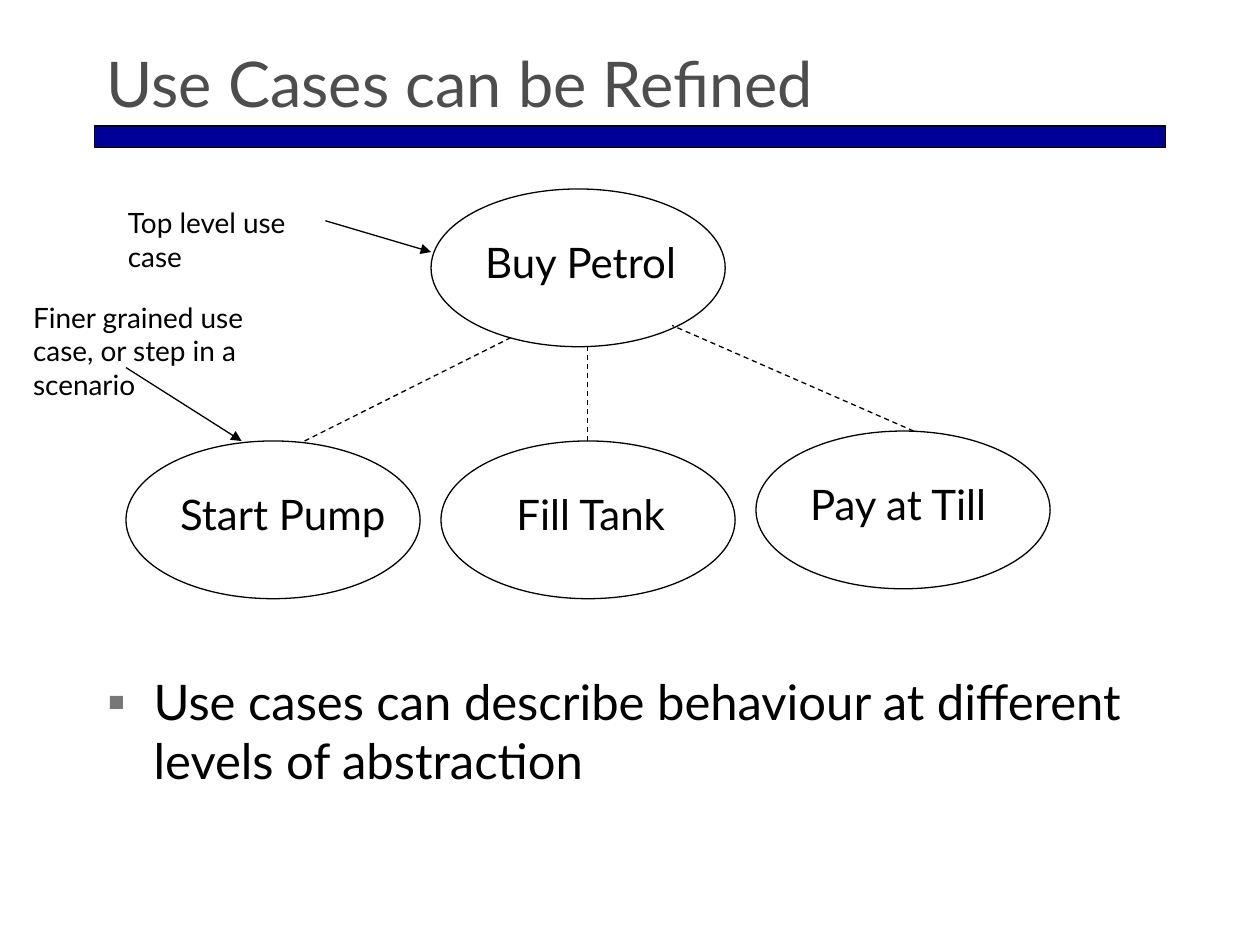
from dataclasses import dataclass

from lxml.etree import SubElement
from pptx import Presentation
from pptx.dml.color import RGBColor
from pptx.enum.dml import MSO_LINE
from pptx.enum.shapes import MSO_CONNECTOR, MSO_SHAPE
from pptx.enum.text import MSO_ANCHOR
from pptx.oxml.ns import qn
from pptx.util import Cm, Pt


@dataclass(frozen=True)
class Theme:
    """Colours, font and type sizes of the slide."""
    font: str = "Lato"
    ink: RGBColor = RGBColor(0, 0, 0)
    heading: RGBColor = RGBColor(0x4D, 0x4D, 0x4D)
    rule: RGBColor = RGBColor(0, 0, 0x99)
    bullet: str = "777777"
    title_size: int = 36
    body_size: int = 28
    case_size: int = 24
    note_size: int = 16
    line_width: float = 0.74


theme = Theme()
presentation = Presentation()
presentation.slide_width, presentation.slide_height = Cm(25.4), Cm(19.05)
slide = presentation.slides.add_slide(presentation.slide_layouts[6])


def add_text(words, left, top, width, height, size, color=theme.ink):
    """Add a wrapped text box and return its text frame."""
    frame = slide.shapes.add_textbox(Cm(left), Cm(top), Cm(width), Cm(height)).text_frame
    frame.word_wrap = True
    frame.text = words
    font = frame.paragraphs[0].runs[0].font
    font.name, font.size, font.color.rgb = theme.font, Pt(size), color
    return frame


def add_outlined(kind, left, top, width, height):
    """Add an unfilled preset shape with a thin outline."""
    shape = slide.shapes.add_shape(kind, Cm(left), Cm(top), Cm(width), Cm(height))
    shape.shadow.inherit = False
    shape.fill.background()
    shape.line.color.rgb = theme.ink
    shape.line.width = Pt(theme.line_width)
    return shape


# Heading
title_rule = add_outlined(MSO_SHAPE.RECTANGLE, 1.9, 2.54, 21.6, 0.43)
title_rule.fill.solid()
title_rule.fill.fore_color.rgb = theme.rule
title = add_text("Use Cases can be Refined", 1.9, 0.84, 21.6, 1.7,
                 theme.title_size, theme.heading)
title.vertical_anchor = MSO_ANCHOR.BOTTOM

# Conclusion
conclusion = add_text("Use cases can describe behaviour at different levels of abstraction",
                      1.9, 13.41, 21.6, 2.7, theme.body_size)
properties = conclusion.paragraphs[0]._p.get_or_add_pPr()
properties.set("marL", str(Cm(0.95)))
properties.set("indent", str(Cm(-0.95)))
bullet_color = SubElement(properties, qn("a:buClr"))
SubElement(bullet_color, qn("a:srgbClr"), val=theme.bullet)
SubElement(properties, qn("a:buFont"), typeface=theme.font)
SubElement(properties, qn("a:buChar"), char="▪")

# Use cases: name, left, top, label inset
use_cases = [
    ("Buy Petrol", 8.69, 3.81, 0.84),
    ("Start Pump", 2.54, 8.89, 0.84),
    ("Fill Tank", 8.89, 8.89, 1.27),
    ("Pay at Till", 15.24, 8.69, 0.84),
]
for name, left, top, inset in use_cases:
    add_outlined(MSO_SHAPE.OVAL, left, top, 5.93, 3.18)
    add_text(name, left + inset, top + 0.84, 5.51, 1.27, theme.case_size)

# Notes
add_text("Top level use case", 2.33, 4.02, 4.02, 1.62, theme.note_size)
add_text("Finer grained use case, or step in a scenario", 0.42, 5.93, 5.29, 2.28,
         theme.note_size)

# Dashed refinements and note arrows: start, end, is arrow
links = [
    ((6.14, 8.89), (10.37, 6.77), False),
    ((11.85, 8.89), (11.85, 6.99), False),
    ((18.42, 8.69), (13.55, 6.56), False),
    ((6.56, 4.45), (8.69, 5.08), True),
    ((2.54, 7.41), (4.87, 8.89), True),
]
for start, end, is_arrow in links:
    link = slide.shapes.add_connector(MSO_CONNECTOR.STRAIGHT, *map(Cm, start + end))
    link.line.color.rgb = theme.ink
    link.line.width = Pt(theme.line_width)
    if is_arrow:
        SubElement(link.line._get_or_add_ln(), qn("a:tailEnd"), type="triangle")
    else:
        link.line.dash_style = MSO_LINE.DASH
    SubElement(link._element.spPr, qn("a:effectLst"))

presentation.save("out.pptx")
